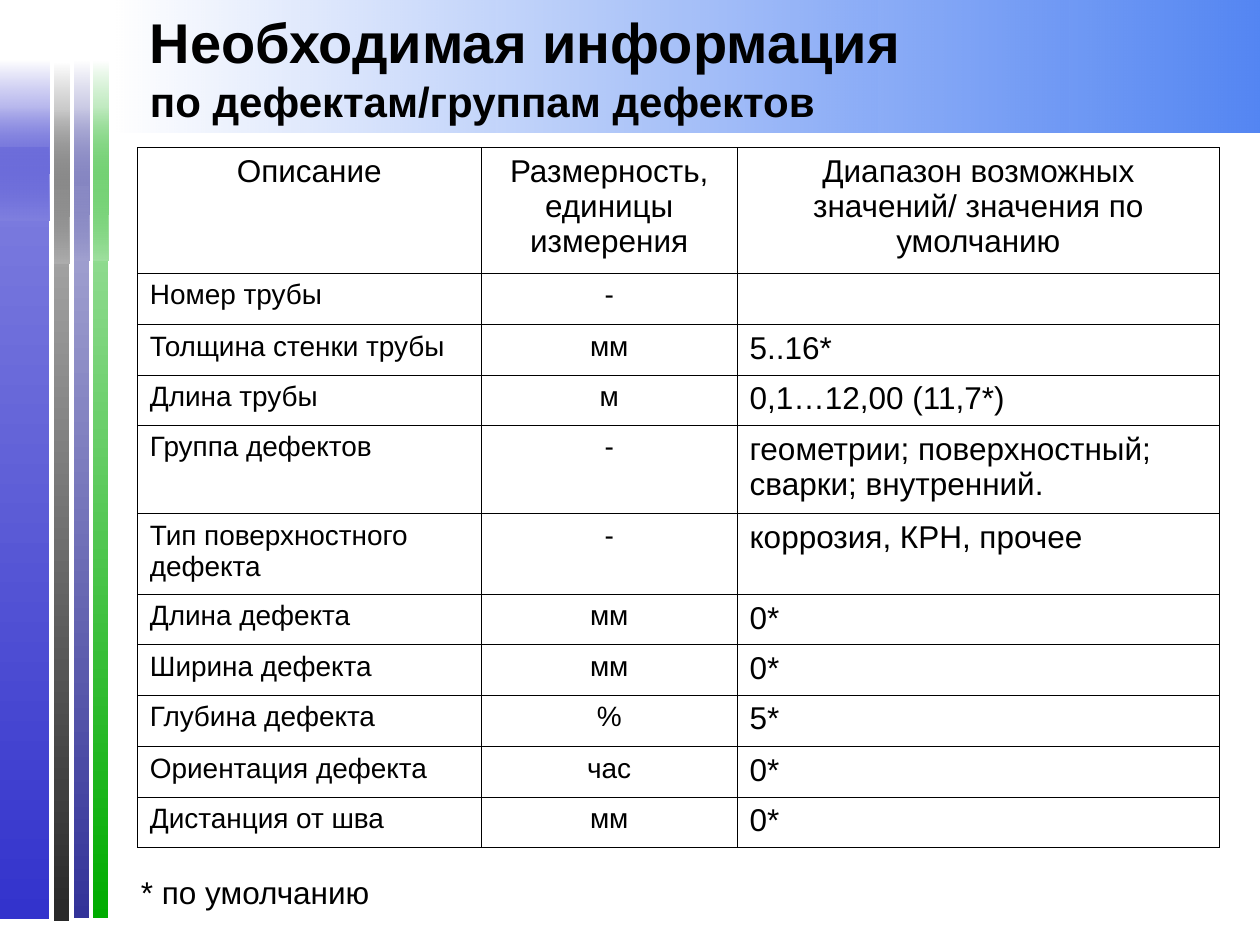
from pptx import Presentation
from pptx.dml.color import RGBColor
from pptx.enum.shapes import MSO_SHAPE as Shape
from pptx.enum.text import MSO_ANCHOR as Anchor, MSO_AUTO_SIZE as AutoSize, PP_ALIGN as Align
from pptx.oxml import parse_xml
from pptx.oxml.ns import nsdecls
from pptx.util import Inches, Pt

BLACK = RGBColor(0x00, 0x00, 0x00)
BAND_START = RGBColor(0x48, 0x7D, 0xF2)
BAND_END = RGBColor(0x54, 0x86, 0xF3)
BLUE = RGBColor(0x33, 0x33, 0xCC)
PALE_BLUE = RGBColor(0x80, 0x80, 0xDF)
GRAY = RGBColor(0x29, 0x29, 0x29)
PALE_GRAY = RGBColor(0xAE, 0xAE, 0xAE)
GREEN = RGBColor(0x00, 0xAC, 0x00)
PALE_GREEN = RGBColor(0x9F, 0xE0, 0x9F)
INDIGO = RGBColor(0x33, 0x33, 0x99)
PALE_INDIGO = RGBColor(0xA0, 0xA0, 0xCF)
SOFT_INDIGO = RGBColor(0xA9, 0xA9, 0xD4)


def add_gradient_bar(left, top, width, height, colors, angle=270, fade_in=True):
    """Add a borderless two-colour bar whose first colour may start transparent."""
    bar = page.shapes.add_shape(
        Shape.RECTANGLE, Inches(left), Inches(top), Inches(width), Inches(height))
    bar.shadow.inherit = False
    bar.line.fill.background()
    bar.fill.gradient()
    bar.fill.gradient_angle = angle
    for stop, color in zip(bar.fill.gradient_stops, colors):
        stop.color.rgb = color
    if fade_in:
        first_color = bar.fill._fill._gradFill.gsLst[0][0]
        first_color.append(parse_xml(f'<a:alpha {nsdecls("a")} val="0"/>'))


def add_span(para, text, size, bold=False):
    span = para.add_run()
    span.text = text
    span.font.name = "Arial"
    span.font.size = Pt(size)
    span.font.bold = bold
    span.font.color.rgb = BLACK


deck = Presentation()
deck.slide_width, deck.slide_height = Inches(10), Inches(7.5)
page = deck.slides.add_slide(deck.slide_layouts[5])

# Header band and the stripes down the left edge
add_gradient_bar(0.9, 0, 9.1, 1.05, (BAND_START, BAND_END), angle=0)

# left, width, top and height of the fading cap, its colours
caps = [
    (0, 0.39, 0.48, 0.9, (BLUE, PALE_BLUE)),
    (0.43, 0.12, 0.5, 1.22, (GRAY, PALE_GRAY)),
    (0.74, 0.12, 0.48, 1.22, (GREEN, PALE_GREEN)),
    (0.59, 0.12, 0.48, 1.22, (INDIGO, PALE_INDIGO)),
]
# left, width, top and height of the long stripe, its colours
stripes = [
    (0, 0.39, 1.17, 6.12, (PALE_BLUE, BLUE)),
    (0.43, 0.12, 1.51, 5.8, (PALE_GRAY, GRAY)),
    (0.59, 0.12, 1.48, 5.81, (SOFT_INDIGO, INDIGO)),
    (0.74, 0.12, 1.43, 5.86, (PALE_GREEN, GREEN)),
]
for left, width, top, height, colors in caps:
    add_gradient_bar(left, top, width, height, colors)
for left, width, top, height, colors in stripes:
    add_gradient_bar(left, top, width, height, colors, fade_in=False)

# Title, raised above the band
title = page.shapes.title
page.shapes._spTree.append(title._element)
title.left, title.top = Inches(1.09), Inches(0.23)
title.width, title.height = Inches(8.34), Inches(0.94)
frame = title.text_frame
frame.auto_size = AutoSize.NONE
frame.word_wrap = True
frame.vertical_anchor = Anchor.MIDDLE
frame.margin_left = frame.margin_right = Inches(0.1)
frame.margin_top, frame.margin_bottom = Inches(0), Inches(0.34)
para = frame.paragraphs[0]
para.alignment = Align.LEFT
add_span(para, "Необходимая информация", 32, bold=True)
para.add_line_break()
add_span(para, "по дефектам/группам дефектов", 24, bold=True)

# The second set of caps covers the joints with the stripes
for left, width, top, height, colors in caps:
    add_gradient_bar(left, top + 0.37, width, height, colors)

# Table of defect parameters
rows = [
    ("Описание", "Размерность, единицы измерения",
     "Диапазон возможных значений/ значения по умолчанию"),
    ("Номер трубы", "-", ""),
    ("Толщина стенки трубы", "мм", "5..16*"),
    ("Длина трубы", "м", "0,1…12,00 (11,7*)"),
    ("Группа дефектов", "-", "геометрии; поверхностный; сварки; внутренний."),
    ("Тип поверхностного дефекта", "-", "коррозия, КРН, прочее"),
    ("Длина дефекта", "мм", "0*"),
    ("Ширина дефекта", "мм", "0*"),
    ("Глубина дефекта", "%", "5*"),
    ("Ориентация дефекта", "час", "0*"),
    ("Дистанция от шва", "мм", "0*"),
]
column_widths = (2.73, 2.03, 3.83)
row_heights = (1, 0.4, 0.4, 0.4, 0.7, 0.64, 0.4, 0.4, 0.41, 0.4, 0.4)
table = page.shapes.add_table(
    len(rows), len(column_widths), Inches(1.09), Inches(1.17),
    Inches(sum(column_widths)), Inches(sum(row_heights))).table
table.first_row = table.horz_banding = False
for column, width in zip(table.columns, column_widths):
    column.width = Inches(width)
for row, height in zip(table.rows, row_heights):
    row.height = Inches(height)

for r, texts in enumerate(rows):
    for c, text in enumerate(texts):
        cell = table.cell(r, c)
        cell.fill.background()
        cell.margin_left = cell.margin_right = Inches(0.1)
        cell.margin_top = cell.margin_bottom = Inches(0.05)
        para = cell.text_frame.paragraphs[0]
        para.alignment = Align.CENTER if r == 0 or c == 1 else Align.LEFT
        if text:
            add_span(para, text, 18 if r == 0 or c == 2 else 16)
        properties = cell._tc.get_or_add_tcPr()
        for position, side in enumerate(("lnL", "lnR", "lnT", "lnB")):
            properties.insert(position, parse_xml(
                f'<a:{side} {nsdecls("a")} w="{Pt(0.45)}"><a:solidFill>'
                f'<a:srgbClr val="{BLACK}"/></a:solidFill></a:{side}>'))

# Footnote
note = page.shapes.add_textbox(Inches(1.02), Inches(6.88), Inches(8.52), Inches(0.4))
note.text_frame.word_wrap = True
note.text_frame.auto_size = AutoSize.SHAPE_TO_FIT_TEXT
add_span(note.text_frame.paragraphs[0], "* по умолчанию", 18)

deck.save("out.pptx")
